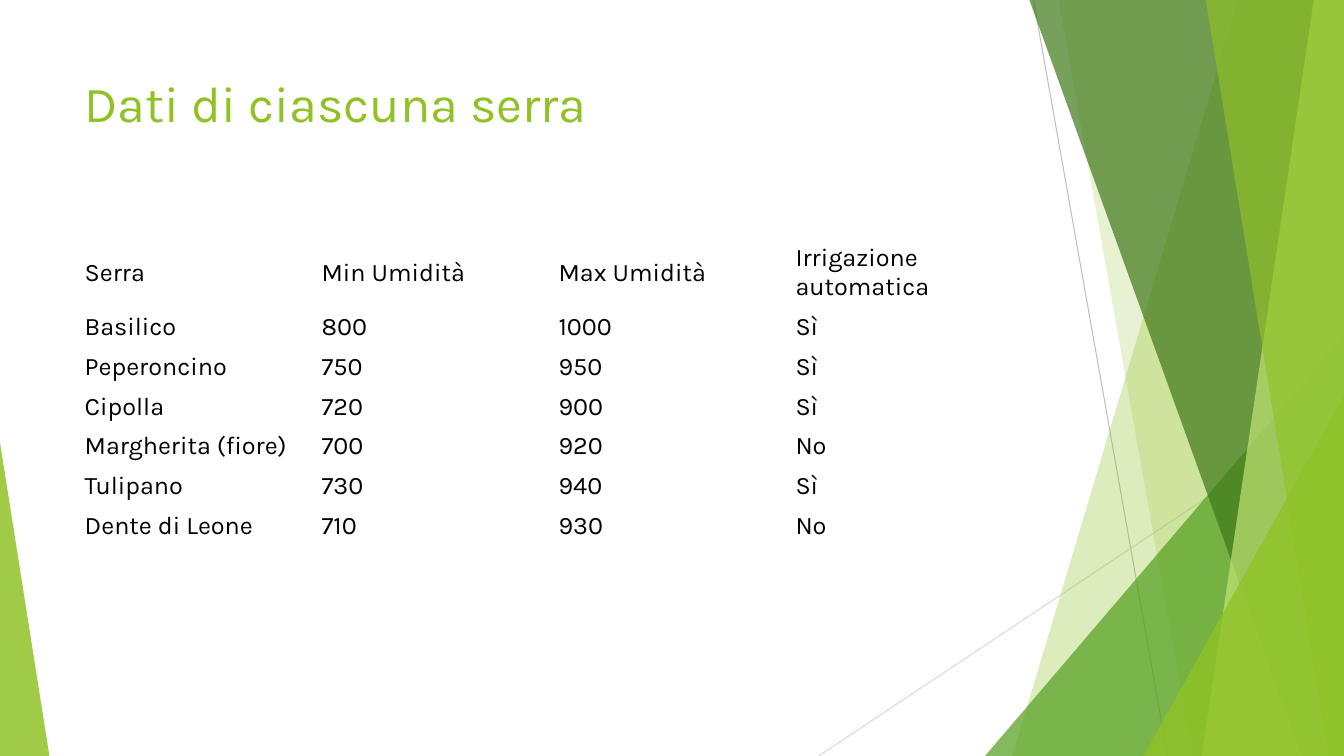
from lxml import etree
from pptx import Presentation
from pptx import util as u
from pptx.dml.color import RGBColor
from pptx.enum import shapes, text
from pptx.oxml.ns import qn

LIME = RGBColor(0x90, 0xC2, 0x26)
PALE_LIME = RGBColor(0xC0, 0xE4, 0x74)
GREEN = RGBColor(0x54, 0xA0, 0x21)
FOREST = RGBColor(0x3F, 0x78, 0x19)
GREY = RGBColor(0xBF, 0xBF, 0xBF)
LIGHT_GREY = RGBColor(0xD9, 0xD9, 0xD9)
BLACK = RGBColor(0, 0, 0)

WIDTH, HEIGHT = 13.33, 7.5
LEFT, CONTENT_WIDTH = 0.74, 9.4
TABLE_TOP, HEADER_HEIGHT, ROW_HEIGHT = 2.36, 0.69, 0.39

GREENHOUSES = [
    ("Serra", "Min Umidità", "Max Umidità", "Irrigazione automatica"),
    ("Basilico", "800", "1000", "Sì"),
    ("Peperoncino", "750", "950", "Sì"),
    ("Cipolla", "720", "900", "Sì"),
    ("Margherita (fiore)", "700", "920", "No"),
    ("Tulipano", "730", "940", "Sì"),
    ("Dente di Leone", "710", "930", "No"),
]


def write(frame, content, size=18, color=BLACK, font="Karla",
          anchor=text.MSO_ANCHOR.MIDDLE):
    frame.word_wrap = True
    frame.vertical_anchor = anchor
    paragraph = frame.paragraphs[0]
    paragraph.alignment = text.PP_ALIGN.LEFT
    run = paragraph.add_run()
    run.text = content
    run.font.size = u.Pt(size)
    run.font.name = font
    run.font.bold = False
    run.font.color.rgb = color


def paint(facet, color, opacity):
    facet.shadow.inherit = False
    facet.line.fill.background()
    facet.fill.solid()
    facet.fill.fore_color.rgb = color
    tint = facet.fill._xPr.find(qn("a:solidFill"))[0]
    etree.SubElement(tint, qn("a:alpha"), val=str(opacity * 1000))


def add_ray(slide, start, end, color):
    ray = slide.shapes.add_connector(
        shapes.MSO_CONNECTOR.STRAIGHT, *map(u.Inches, start + end))
    ray.line.color.rgb = color
    ray.line.width = u.Pt(0.75)
    etree.SubElement(ray._element.spPr, qn("a:effectLst"))


def add_ribbon(slide, top_left, bottom_left, color, opacity):
    outline = slide.shapes.build_freeform(
        u.Inches(top_left), 0, scale=1.0)
    corners = [(WIDTH, 0), (WIDTH, HEIGHT), (bottom_left, HEIGHT)]
    outline.add_line_segments(
        [(u.Inches(x), u.Inches(y)) for x, y in corners], close=True)
    paint(outline.convert_to_shape(), color, opacity)


def add_corner(slide, left, top, width, apex, color, opacity):
    corner = slide.shapes.add_shape(
        shapes.MSO_SHAPE.ISOSCELES_TRIANGLE,
        *map(u.Inches, (left, top, width, HEIGHT - top)))
    corner.adjustments[0] = apex
    paint(corner, color, opacity)


def add_decoration(slide):
    add_ray(slide, (10.25, 0), (11.58, HEIGHT), GREY)
    add_ray(slide, (WIDTH, 4.03), (8.12, HEIGHT), LIGHT_GREY)
    add_ribbon(slide, 12.28, 10.04, LIME, 30)
    add_ribbon(slide, 10.5, 11.83, LIME, 20)
    add_corner(slide, 9.77, 3.33, WIDTH - 9.77, 1, GREEN, 72)
    add_ribbon(slide, 10.21, 12.91, FOREST, 70)
    add_ribbon(slide, 13.03, 11.92, PALE_LIME, 70)
    add_ribbon(slide, 11.96, 13.18, LIME, 65)
    add_corner(slide, 11.34, 3.93, WIDTH - 11.34, 1, LIME, 80)
    add_corner(slide, 0, 4.39, 0.49, 0, LIME, 85)


def add_title(slide, content):
    title = slide.shapes.title
    title.left, title.top = u.Inches(LEFT), u.Inches(0.67)
    title.width, title.height = u.Inches(CONTENT_WIDTH), u.Inches(1.44)
    write(title.text_frame, content, size=36, color=LIME,
          anchor=text.MSO_ANCHOR.TOP)


def add_data_table(slide, rows):
    heights = [HEADER_HEIGHT] + [ROW_HEIGHT] * (len(rows) - 1)
    table = slide.shapes.add_table(
        len(rows), len(rows[0]),
        *map(u.Inches, (LEFT, TABLE_TOP, CONTENT_WIDTH, sum(heights)))).table
    table.first_row = table.horz_banding = False
    for row, height, values in zip(table.rows, heights, rows):
        row.height = u.Inches(height)
        for cell, value in zip(row.cells, values):
            cell.fill.background()
            cell.vertical_anchor = text.MSO_ANCHOR.MIDDLE
            write(cell.text_frame, value)


def main():
    deck = Presentation()
    deck.slide_width, deck.slide_height = u.Inches(WIDTH), u.Inches(HEIGHT)
    slide = deck.slides.add_slide(deck.slide_layouts.get_by_name("Title Only"))
    add_decoration(slide)
    add_title(slide, "Dati di ciascuna serra")
    add_data_table(slide, GREENHOUSES)
    deck.save("out.pptx")


if __name__ == "__main__":
    main()
